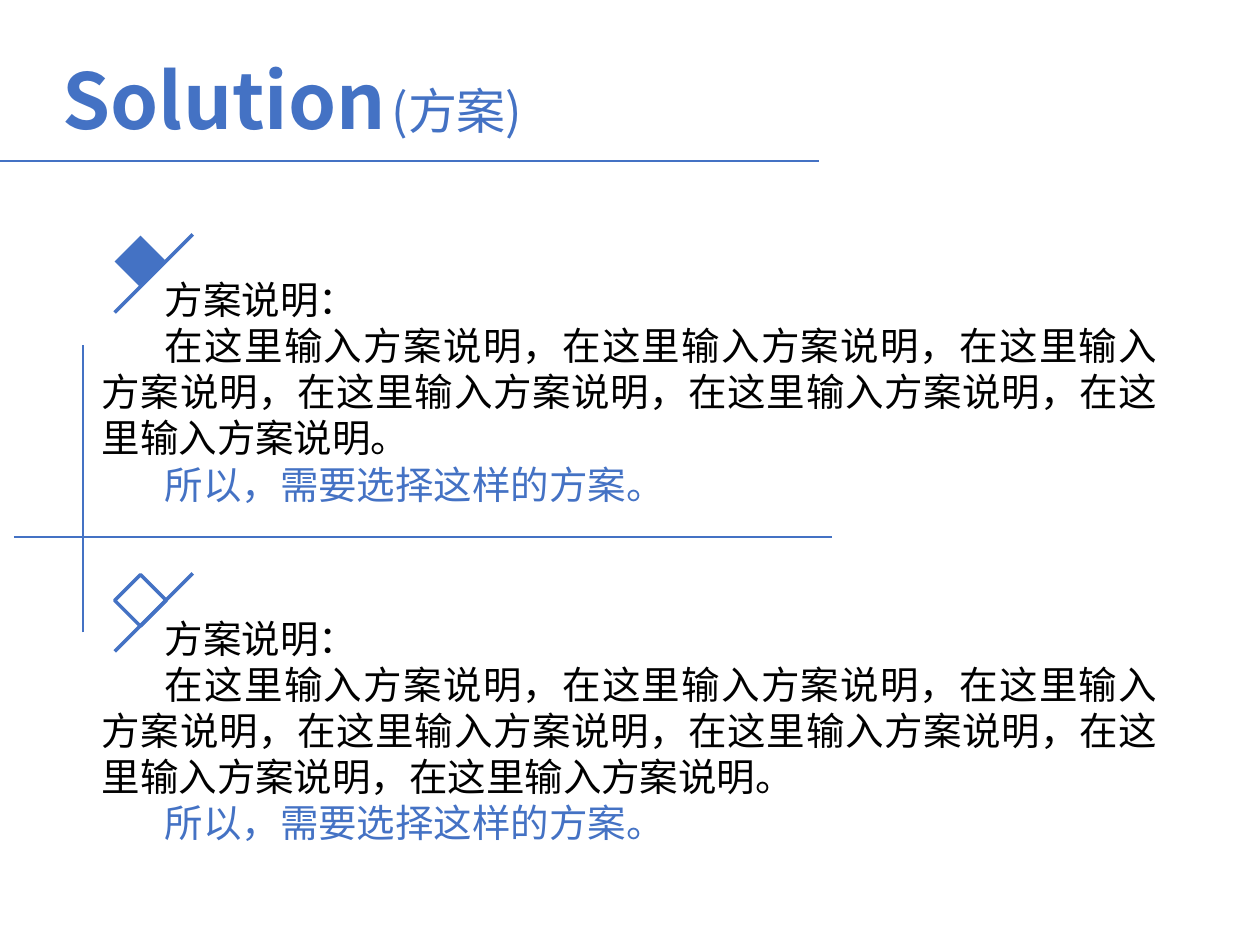
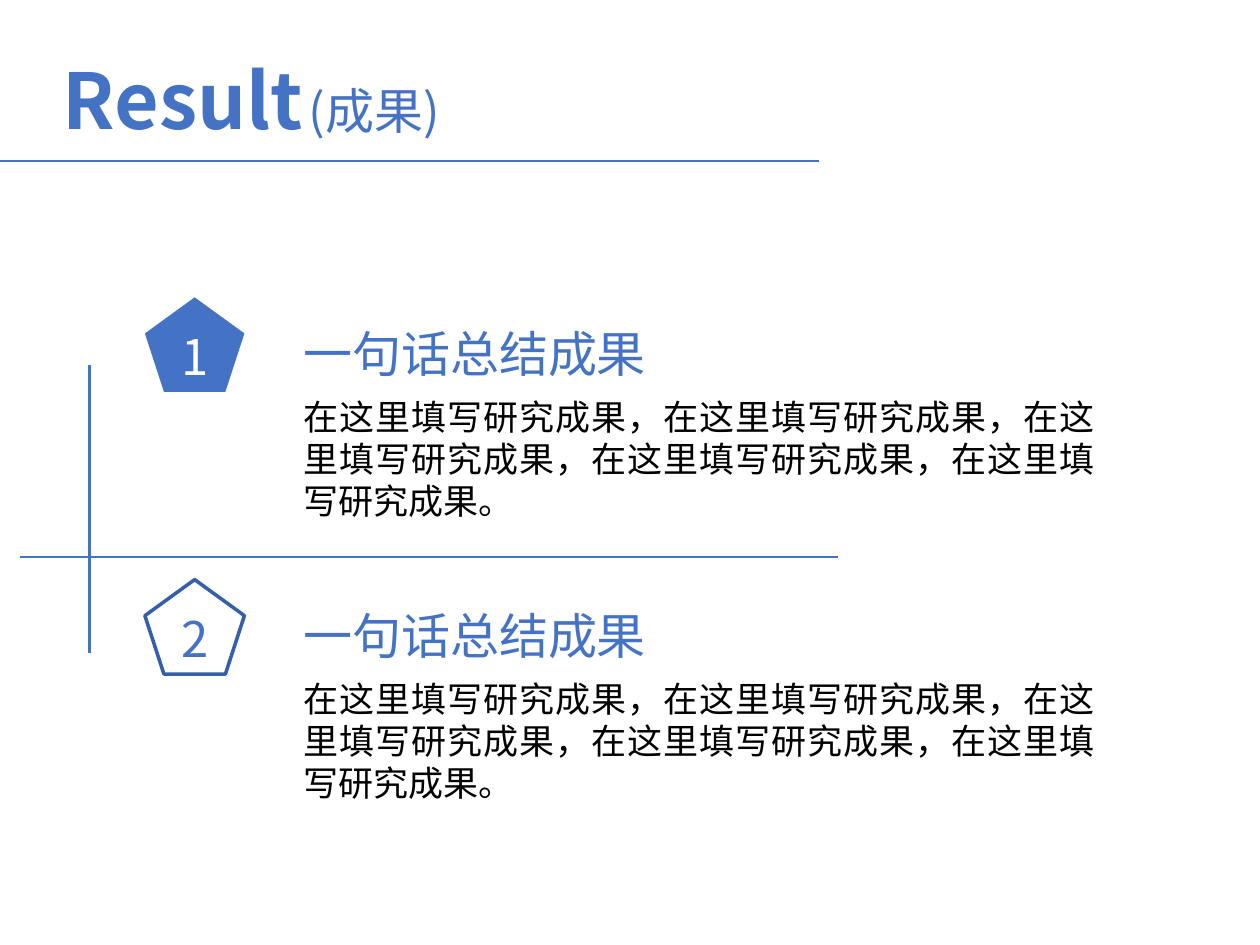
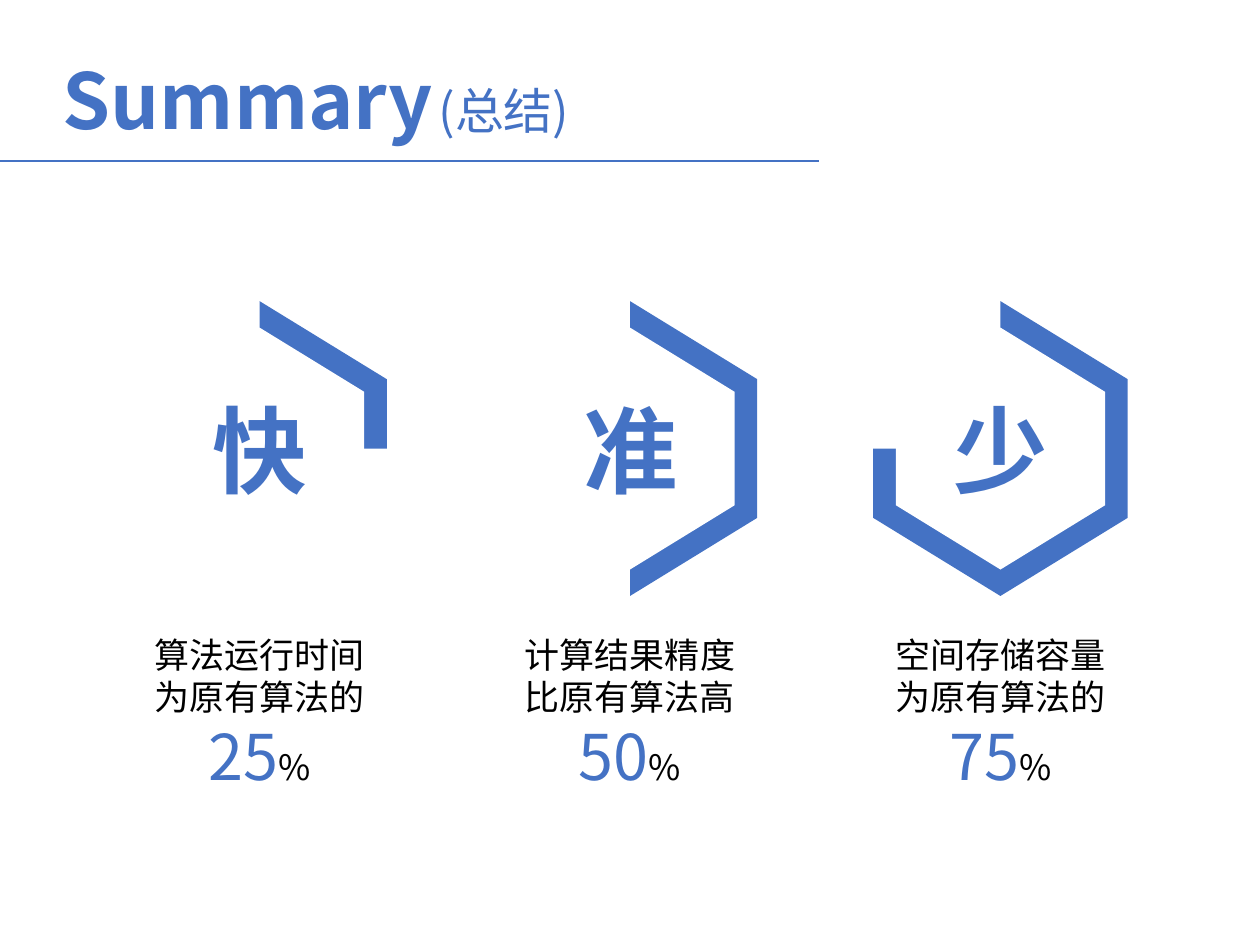
from lxml import etree
from pptx import Presentation
from pptx.dml.color import RGBColor
from pptx.enum import shapes, text
from pptx.oxml.ns import qn
from pptx.util import Inches, Pt

FONT = "Noto Sans CJK SC"
BLUE = RGBColor(0x44, 0x72, 0xC4)
DARK_BLUE = RGBColor(0x36, 0x5F, 0xAA)
BLACK = RGBColor(0, 0, 0)
WHITE = RGBColor(0xFF, 0xFF, 0xFF)

JUSTIFY = text.PP_ALIGN.JUSTIFY
CENTER = text.PP_ALIGN.CENTER

# Content
TITLES = [("Solution", "(方案)"), ("Result", "(成果)"), ("Summary", "(总结)")]

SOLUTION_HEADING = "方案说明："
SOLUTION_CLAUSE = "在这里输入方案说明"
SOLUTION_CONCLUSION = "所以，需要选择这样的方案。"
SOLUTION_CLAUSE_COUNTS = [6, 7]

RESULT_HEADING = "一句话总结成果"
RESULT_TEXT = "，".join(["在这里填写研究成果"] * 5) + "。"
RESULT_NUMBERS = ["1", "2"]

# Keyword, caption, percentage, last corner of the ring
SUMMARY = [
    ("快", "算法运行时间为原有算法的", "25", 3),
    ("准", "计算结果精度比原有算法高", "50", 4),
    ("少", "空间存储容量为原有算法的", "75", 6),
]
# Ring corners, clockwise from the top, measured from the ring's centre
RING_CORNERS = [(0, -1.17), (1.01, -0.55), (1.01, 0), (1.01, 0.55),
                (0, 1.17), (-1.01, 0.55), (-1.01, 0)]


def add_line(slide, x1, y1, x2, y2, width=1.25):
    line = slide.shapes.add_connector(
        shapes.MSO_CONNECTOR.STRAIGHT, Inches(x1), Inches(y1), Inches(x2), Inches(y2))
    line.line.color.rgb = BLUE
    line.line.width = Pt(width)
    etree.SubElement(line._element.spPr, qn("a:effectLst"))


def paint(shape, fill=None, outline=None):
    shape.shadow.inherit = False
    if fill is None:
        shape.fill.background()
    else:
        shape.fill.solid()
        shape.fill.fore_color.rgb = fill
    if outline is None:
        shape.line.fill.background()
    else:
        shape.line.color.rgb = outline
        shape.line.width = Pt(2)


def add_shape(slide, kind, left, top, width, height, fill=None, outline=None):
    shape = slide.shapes.add_shape(
        kind, Inches(left), Inches(top), Inches(width), Inches(height))
    paint(shape, fill, outline)
    return shape


def write_runs(paragraph, runs, align, exact=True):
    """Each run is (words, size, colour) with an optional bold flag."""
    paragraph.alignment = align
    if exact:
        paragraph.line_spacing = Pt(1.2 * max(run[1] for run in runs))
    for words, size, color, *bold in runs:
        run = paragraph.add_run()
        run.text = words
        run.font.size = Pt(size)
        run.font.color.rgb = color
        run.font.bold = bool(bold)
        run.font.name = FONT
        etree.SubElement(run.font._element, qn("a:ea"), typeface=FONT)


def add_text(slide, left, top, width, height, paragraphs, align,
             indent=0, exact=True):
    box = slide.shapes.add_textbox(
        Inches(left), Inches(top), Inches(width), Inches(height))
    frame = box.text_frame
    frame.word_wrap = True
    for index, runs in enumerate(paragraphs):
        paragraph = frame.paragraphs[0] if index == 0 else frame.add_paragraph()
        write_runs(paragraph, runs, align, exact)
        if indent:
            paragraph._p.get_or_add_pPr().set("indent", str(Inches(indent)))
    return box


def add_titled_slide(presentation, title, subtitle):
    slide = presentation.slides.add_slide(presentation.slide_layouts[6])
    add_line(slide, 0, 1.28, 6.5, 1.28)
    runs = [(title, 44, BLUE, True), (" ", 14, BLUE, True), (subtitle, 28, BLUE)]
    box = add_text(slide, 0.4, 0.32, 8.03, 0.71, [runs], text.PP_ALIGN.LEFT)
    box.text_frame.margin_top = Inches(0.1)
    return slide


def add_cross(slide, left, middle):
    add_line(slide, left, middle, left + 6.49, middle)
    add_line(slide, left + 0.55, middle + 0.76, left + 0.55, middle - 1.52)


def build_solution(slide):
    for index, count in enumerate(SOLUTION_CLAUSE_COUNTS):
        top = 1.86 + 2.69 * index
        # First diamond solid, second outlined
        colors = {"outline": BLUE} if index else {"fill": BLUE}
        diamond = add_shape(slide, shapes.MSO_SHAPE.RECTANGLE,
                            0.97, top + 0.07, 0.29, 0.29, **colors)
        diamond.rotation = 315
        add_line(slide, 1.53, top, 0.91, top + 0.62, 2)
        body = "，".join([SOLUTION_CLAUSE] * count) + "。"
        paragraphs = [[(SOLUTION_HEADING, 22, BLACK)], [(body, 22, BLACK)],
                      [(SOLUTION_CONCLUSION, 22, BLUE)]]
        add_text(slide, 0.71, top + 0.28, 8.58, 1.95, paragraphs, JUSTIFY, indent=0.5)
    add_cross(slide, 0.11, 4.26)


def build_result(slide):
    for index, number in enumerate(RESULT_NUMBERS):
        top = 2.36 + 2.24 * index
        colors = {"outline": DARK_BLUE} if index else {"fill": BLUE}
        badge = add_shape(slide, shapes.MSO_SHAPE.REGULAR_PENTAGON,
                          1.15, top, 0.79, 0.75, **colors)
        badge.text_frame.vertical_anchor = text.MSO_ANCHOR.MIDDLE
        write_runs(badge.text_frame.paragraphs[0],
                   [(number, 28, BLUE if index else WHITE)], CENTER)
        add_text(slide, 2.31, top + 0.16, 3.4, 0.57,
                 [[(RESULT_HEADING, 28, BLUE)]], JUSTIFY)
        add_text(slide, 2.31, top + 0.73, 6.48, 1.11,
                 [[(RESULT_TEXT, 20, BLACK)]], JUSTIFY)
    add_cross(slide, 0.16, 4.42)


def build_summary(slide):
    middle = 3.56
    for index, (keyword, caption, percent, last) in enumerate(SUMMARY):
        center = 2.06 + 2.94 * index
        # Part of a hexagon, closed through its centre
        corners = RING_CORNERS[:last] if last == 3 else RING_CORNERS[:last + 1]
        points = [(Inches(center + x), Inches(middle + y)) for x, y in corners + [(0, 0)]]
        builder = slide.shapes.build_freeform(*points[0])
        builder.add_line_segments(points[1:], close=True)
        paint(builder.convert_to_shape(), BLUE)
        # White hexagon that leaves only the ring
        hole = add_shape(slide, shapes.MSO_SHAPE.HEXAGON,
                         center - 0.96, middle - 0.83, 1.92, 1.66, WHITE)
        hole.adjustments[0] = 0.307
        hole.rotation = 90
        add_text(slide, center - 0.52, middle - 0.5, 1.05, 1.01,
                 [[(keyword, 54, BLUE, True)]], CENTER)
        runs = [(caption, 20, BLACK), (percent, 36, BLUE), ("%", 20, BLACK)]
        add_text(slide, center - 1.02, 4.98, 2.04, 1.38, [runs], CENTER, exact=False)


def main():
    presentation = Presentation()
    presentation.slide_width = Inches(10)
    presentation.slide_height = Inches(7.5)
    for names, build in zip(TITLES, (build_solution, build_result, build_summary)):
        build(add_titled_slide(presentation, *names))
    presentation.save("out.pptx")


if __name__ == "__main__":
    main()
